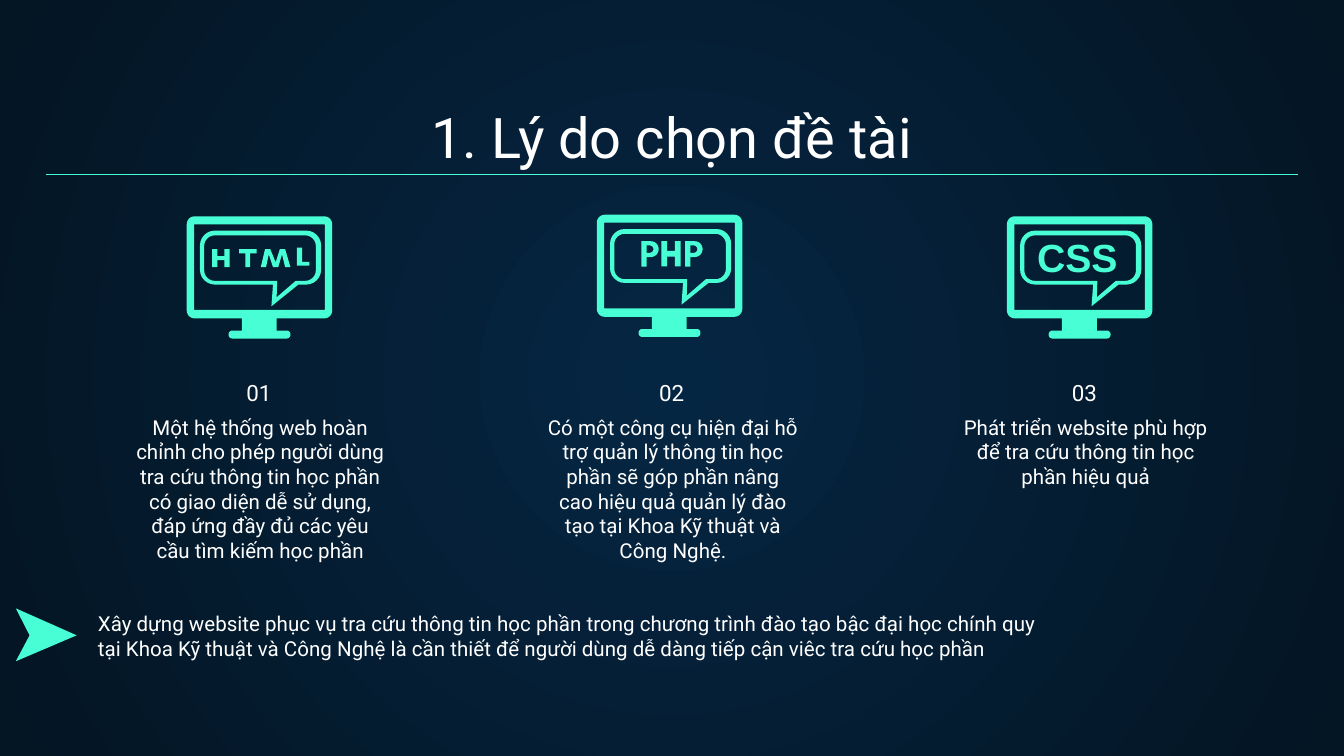
"""Build the slide that gives the three reasons for choosing the topic."""
import math

import lxml.etree
import pptx
import pptx.dml.color
import pptx.enum.shapes
import pptx.enum.text
import pptx.oxml
import pptx.oxml.ns
import pptx.util

Cm = pptx.util.Cm
colour = pptx.dml.color.RGBColor.from_string
qn = pptx.oxml.ns.qn
align = pptx.enum.text.PP_ALIGN
anchor = pptx.enum.text.MSO_ANCHOR
MINT, WHITE = "48FFD5", "FFFFFF"


def rounded(left, top, width, height, radius, tail=()):
    """Return a clockwise rounded rectangle, with tail points on its bottom edge."""
    right, bottom = left + width - radius, top + height - radius
    left, top = left + radius, top + radius
    points = []
    for x, y, start in ((left, top, 180), (right, top, 270), (right, bottom, 0), (left, bottom, 90)):
        for step in range(7):
            angle = math.radians(start + 15 * step)
            points.append((x + radius * math.cos(angle), y + radius * math.sin(angle)))
        if start == 0:
            points.extend(tail)
    return points


def draw(contours, left=0, top=0):
    """Add one mint outline made of closed contours, in centimetres."""
    rings = [[(Cm(left + x), Cm(top + y)) for x, y in ring] for ring in contours]
    builder = page.shapes.build_freeform(*rings[0][0], scale=1.0)
    for ring in rings:
        builder.move_to(*ring[0])
        builder.add_line_segments(ring[1:], close=True)
    shape = builder.convert_to_shape()
    shape.shadow.inherit = False
    shape.fill.solid()
    shape.fill.fore_color.rgb = colour(MINT)
    shape.line.fill.background()


deck = pptx.Presentation()
deck.slide_width, deck.slide_height = Cm(25.4), Cm(14.29)
page = deck.slides.add_slide(deck.slide_layouts.get_by_name("Comparison"))

fill = page.background.fill
fill.gradient()
for stop, value, position in zip(fill.gradient_stops, ("052643", "041523"), (0, 1)):
    stop.color.rgb = colour(value)
    stop.position = position
gradient = page.element.find(".//" + qn("a:gradFill"))
gradient.remove(gradient.find(qn("a:lin")))
circle = lxml.etree.SubElement(gradient, qn("a:path"), path="circle")
lxml.etree.SubElement(circle, qn("a:fillToRect"), l="50000", t="50000", r="50000", b="50000")

monitor = [
    rounded(0, 0, 2.75, 1.93, 0.15),
    rounded(0.14, 0.15, 2.47, 1.62, 0.01),
    [(1.04, 1.93), (1.7, 1.93), (1.7, 2.16), (1.04, 2.16)],
    rounded(0.79, 2.16, 1.17, 0.15, 0.07),
]
bubble = [
    rounded(0.25, 0.27, 2.29, 1.02, 0.28, [(2.11, 1.29), (1.6, 1.7), (1.63, 1.29)]),
    rounded(0.33, 0.36, 2.11, 0.86, 0.2, [(2.06, 1.22), (1.7, 1.53), (1.71, 1.22)]),
]
letter_h = [(0, 0), (0, 0.34), (0.1, 0.34), (0.1, 0.21), (0.23, 0.21), (0.23, 0.34),
            (0.33, 0.34), (0.33, 0), (0.23, 0), (0.23, 0.13), (0.1, 0.13), (0.1, 0)]
letter_t = [(0, 0), (0, 0.08), (0.12, 0.08), (0.12, 0.34), (0.21, 0.34), (0.21, 0.08),
            (0.33, 0.08), (0.33, 0)]
letter_m = [(0.08, 0), (0, 0.34), (0.1, 0.34), (0.15, 0.1), (0.23, 0.34), (0.33, 0.34), (0.4, 0.1),
            (0.46, 0.34), (0.56, 0.34), (0.46, 0), (0.36, 0), (0.28, 0.25), (0.18, 0)]
letter_l = [(0, 0), (0, 0.34), (0.24, 0.34), (0.24, 0.27), (0.1, 0.27), (0.1, 0)]
tall_h = [(1.1 * x, 1.4 * y) for x, y in letter_h]
turns = [math.radians(15 * step) for step in range(13)]
bowl = [(0.18 + 0.15 * math.sin(turn), 0.15 + 0.15 * math.cos(turn)) for turn in turns]
hole = [(0.16 + 0.07 * math.sin(turn), 0.15 + 0.07 * math.cos(turn)) for turn in turns]
letter_p = [[(0, 0), (0, 0.48), (0.1, 0.48), (0.1, 0.3), *bowl], [(0.1, 0.08), (0.1, 0.22), *hole]]

words = [
    [([letter_h], 0.48, 0.62), ([letter_t], 0.99, 0.62), ([letter_m], 1.4, 0.62), ([letter_l], 2.08, 0.59)],
    [(letter_p, 0.84, 0.5), ([tall_h], 1.22, 0.5), (letter_p, 1.67, 0.5)],
    [],
]
for column, (letters, top) in enumerate(zip(words, (4.09, 4.06, 4.09))):
    left = 3.53 + 7.75 * column
    draw(monitor, left, top)
    draw(bubble, left, top)
    for letter, across, down in letters:
        draw(letter, left + across, top + down)

draw([[(0.3, 11.5), (0.56, 12.01), (0.3, 12.5), (1.45, 12.01)]])

rule = page.shapes.add_connector(pptx.enum.shapes.MSO_CONNECTOR.STRAIGHT, Cm(0.86), Cm(3.3), Cm(24.54), Cm(3.3))
rule.line.color.rgb = colour(MINT)
rule.line.width = pptx.util.Pt(0.75)
lxml.etree.SubElement(rule.element.spPr, qn("a:effectLst"))

reasons = [
    "Một hệ thống web hoàn chỉnh cho phép người dùng tra cứu thông tin học phần có giao diện dễ sử dụng, "
    "đáp ứng đầy đủ các yêu cầu tìm kiếm học phần",
    "Có một công cụ hiện đại hỗ trợ quản lý thông tin học phần sẽ góp phần nâng cao hiệu quả quản lý đào tạo "
    "tại Khoa Kỹ thuật và Công Nghệ.",
    "Phát triển website phù hợp để tra cứu thông tin học phần hiệu quả",
]
conclusion = (
    "Xây dựng website phục vụ tra cứu thông tin học phần trong chương trình đào tạo bậc đại học chính quy "
    "tại Khoa Kỹ thuật và Công Nghệ là cần thiết để người dùng dễ dàng tiếp cận viêc tra cứu học phần"
)
title_style = {"size": 30, "align": align.CENTER, "anchor": anchor.BOTTOM}
number_style = {"size": 12, "align": align.CENTER, "anchor": anchor.BOTTOM}
reason_style = {"size": 11, "align": align.CENTER}
icon_style = {"size": 21, "font": "Arial", "colour": MINT, "bold": True, "inset": 0.13}
texts = [
    (0, "1. Lý do chọn đề tài", (0.86, 1.78, 23.68, 1.68), title_style),
    (4, conclusion, (1.6, 11.3, 18.31, 1.4), {"size": 11}),
    (None, "CSS", (19.35, 4.29, 3.48, 1.14), icon_style),
]
for column, reason in enumerate(reasons):
    shift = 7.8 * column
    texts.append((column + 1, reason, (2.29 + shift, 7.59, 5.26, 1.4), reason_style))
    texts.append((None, f"0{column + 1}", (2.01 + shift, 7.39, 5.77, 0.53), number_style))

holders = {holder.placeholder_format.idx: holder for holder in page.placeholders}
for index, text, place, style in texts:
    lengths = [Cm(value) for value in place]
    if index is None:
        box = page.shapes.add_textbox(*lengths)
    else:
        box = holders[index]
        box.left, box.top, box.width, box.height = lengths
    inset = Cm(style.get("inset", 0.25))
    frame = box.text_frame
    frame_values = {
        "word_wrap": True, "auto_size": pptx.enum.text.MSO_AUTO_SIZE.NONE,
        "vertical_anchor": style.get("anchor", anchor.TOP),
        "margin_left": Cm(0.25), "margin_right": Cm(0.25), "margin_top": inset, "margin_bottom": inset,
    }
    for name, value in frame_values.items():
        setattr(frame, name, value)
    para = frame.paragraphs[0]
    para.alignment = style.get("align", align.LEFT)
    para.space_before = pptx.util.Pt(0)
    if index:
        properties = para._p.get_or_add_pPr()
        properties.set("marL", "0")
        properties.set("indent", "0")
        lxml.etree.SubElement(properties, qn("a:buNone"))
    span = para.add_run()
    span.text = text
    font_values = {
        "name": style.get("font", "Roboto"), "size": pptx.util.Pt(style["size"]), "bold": style.get("bold", False),
    }
    for name, value in font_values.items():
        setattr(span.font, name, value)
    span.font.color.rgb = colour(style.get("colour", WHITE))

deck.save("out.pptx")
